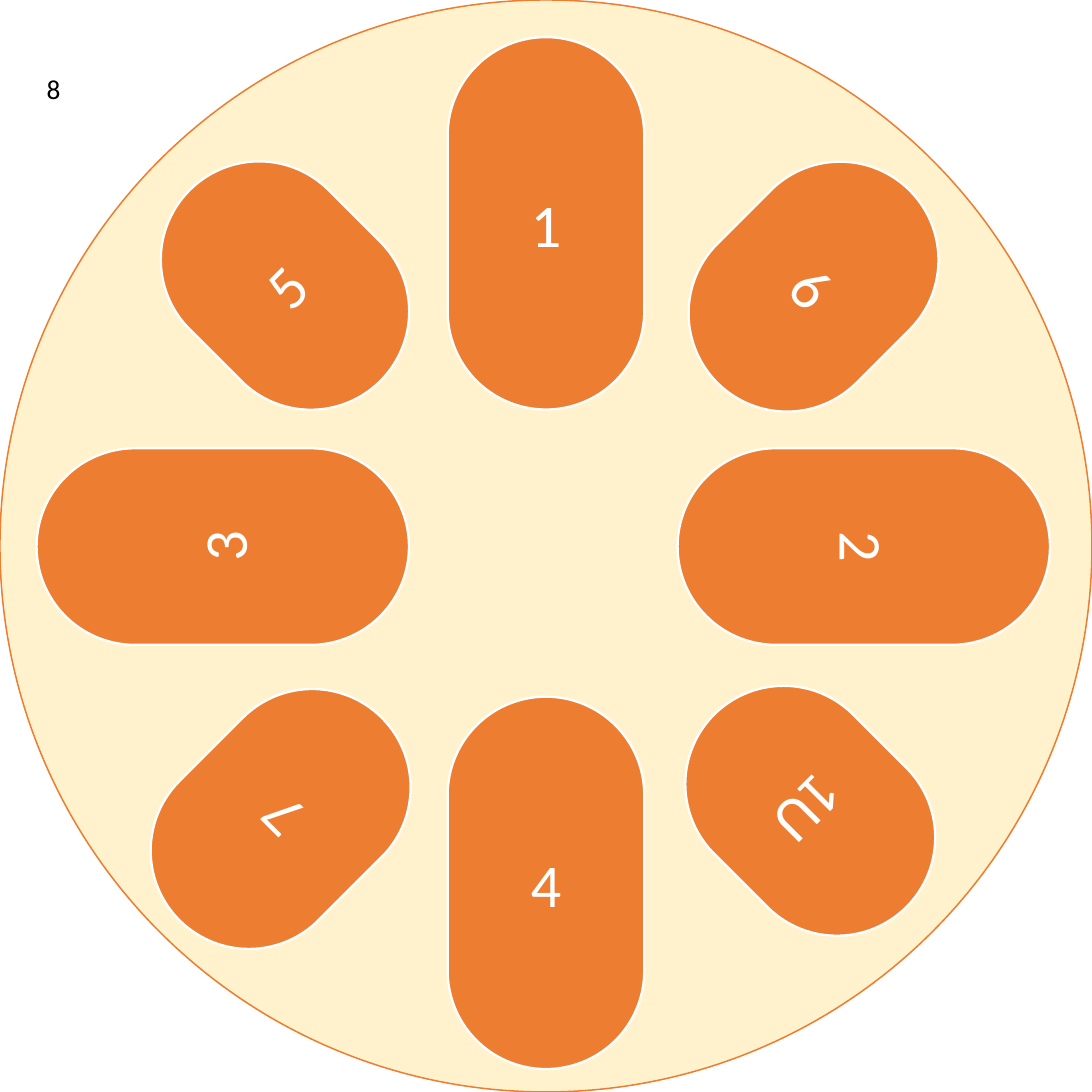
from pptx import Presentation
from pptx.dml.color import RGBColor
from pptx.enum.shapes import MSO_SHAPE
from pptx.enum.text import MSO_ANCHOR, MSO_AUTO_SIZE, PP_ALIGN
from pptx.util import Pt

PX = 9144  # 100 px to the inch
TABLE_SIZE = 1000
SEAT_WIDTH = 180
FONT = "Calibri"
COLORS = {"table": "FFF2CC", "seat": "ED7D31", "white": "FFFFFF", "black": "000000"}

OVAL = MSO_SHAPE.OVAL
ROUNDED = MSO_SHAPE.ROUNDED_RECTANGLE
MIDDLE = MSO_ANCHOR.MIDDLE
CENTER = PP_ALIGN.CENTER
FIT_SHAPE = MSO_AUTO_SIZE.SHAPE_TO_FIT_TEXT

# Label, centre x, centre y, length, rotation
SEATS = [
    ("4", 500, 808, 341, 0),
    ("2", 791, 500, 341, 90),
    ("3", 204, 500, 341, 270),
    ("1", 500, 204, 341, 0),
    ("7", 257, 750, 262, 225),
    ("1U", 742, 742, 249, 135),
    ("5", 261, 261, 247, 315),
    ("6", 745, 262, 249, 45),
]


def color(name):
    return RGBColor.from_string(COLORS[name])


def write(frame, text, size, ink):
    frame.text = text
    font = frame.paragraphs[0].runs[0].font
    font.name = FONT
    font.size = Pt(size)
    font.color.rgb = color(ink)


def add_figure(slide, preset, left, top, width, height, fill, line, line_width):
    figure = slide.shapes.add_shape(
        preset, left * PX, top * PX, width * PX, height * PX)
    figure.shadow.inherit = False
    figure.fill.solid()
    figure.fill.fore_color.rgb = color(fill)
    figure.line.color.rgb = color(line)
    figure.line.width = Pt(line_width)
    return figure


def add_seat(slide, label, center_x, center_y, length, rotation):
    seat = add_figure(slide, ROUNDED, center_x - SEAT_WIDTH // 2,
                      center_y - length // 2, SEAT_WIDTH, length,
                      "seat", "white", 1.5)
    seat.adjustments[0] = 0.5
    seat.rotation = rotation
    write(seat.text_frame, label, 40, "white")
    seat.text_frame.vertical_anchor = MIDDLE
    seat.text_frame.paragraphs[0].alignment = CENTER


def add_count(slide, text, left, top, width, height):
    count = slide.shapes.add_textbox(left * PX, top * PX, width * PX, height * PX)
    count.text_frame.word_wrap = False
    count.text_frame.auto_size = FIT_SHAPE
    write(count.text_frame, text, 18, "black")


def main():
    deck = Presentation()
    deck.slide_width = deck.slide_height = TABLE_SIZE * PX
    slide = deck.slides.add_slide(deck.slide_layouts[6])

    # Seat count in the corner
    add_count(slide, "8", 33, 61, 34, 40)

    # Round table
    add_figure(slide, OVAL, 0, 0, TABLE_SIZE, TABLE_SIZE, "table", "seat", 1)

    # Seats around the table
    for seat in SEATS:
        add_seat(slide, *seat)

    deck.save("out.pptx")


if __name__ == "__main__":
    main()
